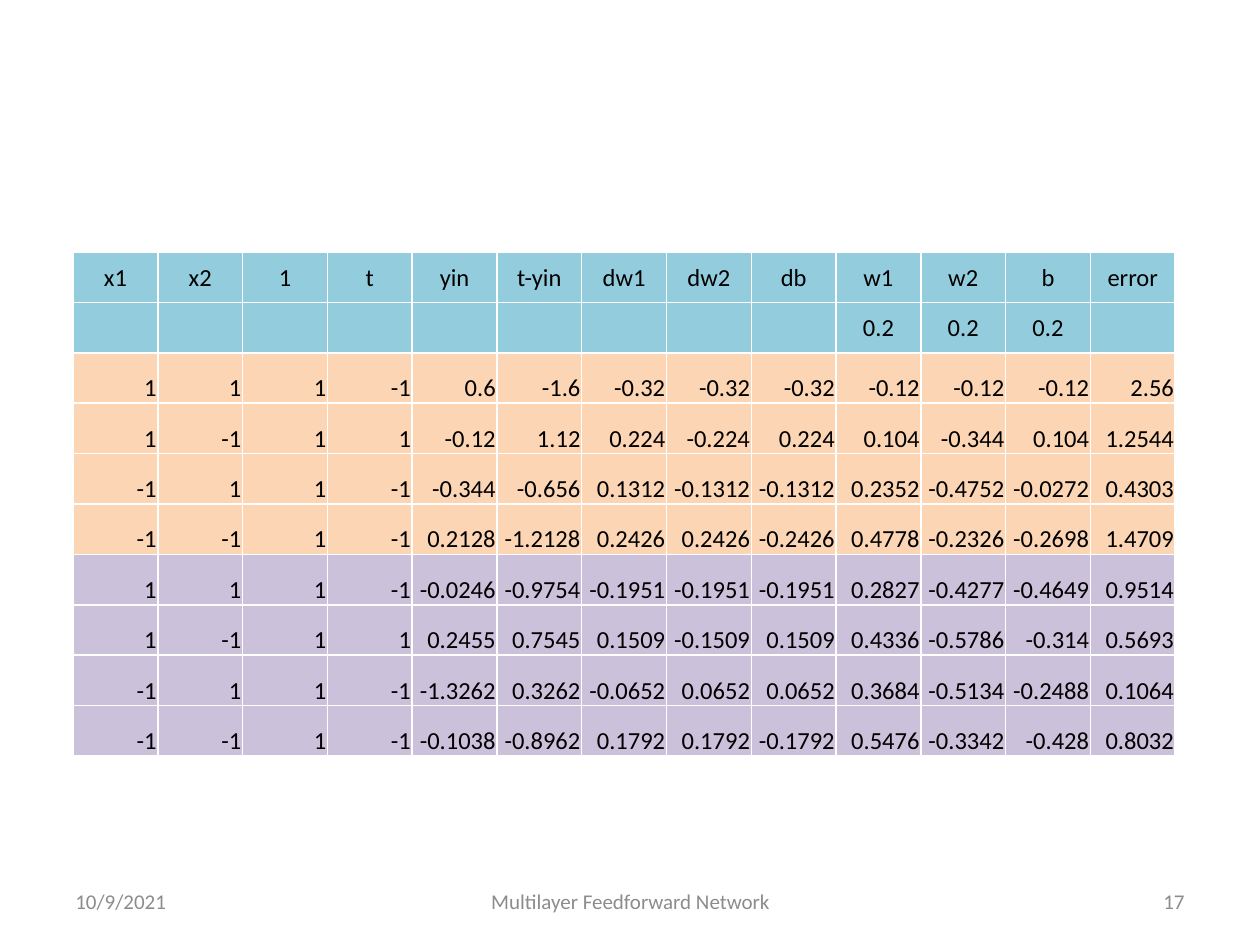
from typing import NamedTuple

from lxml.etree import SubElement
from pptx import Presentation
from pptx.dml.color import RGBColor
from pptx.enum.text import MSO_ANCHOR as Anchor, PP_ALIGN as Align
from pptx.oxml.ns import qn
from pptx.util import Inches, Pt

FONT = "Calibri"
COLS = 13
TABLE_WIDTH = 8.75
ROW_HEIGHT = 0.4


class Band(NamedTuple):
    fill: str
    align: Align
    anchor: Anchor
    rows: list[list[str]]


class Footer(NamedTuple):
    left: float
    width: float
    align: Align
    text: str


BANDS = [
    Band("93CDDD", Align.CENTER, Anchor.MIDDLE, [
        "x1 x2 1 t yin t-yin dw1 dw2 db w1 w2 b error".split(),
        [""] * 9 + ["0.2"] * 3 + [""],
    ]),
    Band("FCD5B5", Align.RIGHT, Anchor.BOTTOM, [
        "1 1 1 -1 0.6 -1.6 -0.32 -0.32 -0.32 -0.12 -0.12 -0.12 2.56".split(),
        "1 -1 1 1 -0.12 1.12 0.224 -0.224 0.224 0.104 -0.344 0.104 1.2544".split(),
        "-1 1 1 -1 -0.344 -0.656 0.1312 -0.1312 -0.1312 0.2352 -0.4752 -0.0272 0.4303".split(),
        "-1 -1 1 -1 0.2128 -1.2128 0.2426 0.2426 -0.2426 0.4778 -0.2326 -0.2698 1.4709".split(),
    ]),
    Band("CCC1DA", Align.RIGHT, Anchor.BOTTOM, [
        "1 1 1 -1 -0.0246 -0.9754 -0.1951 -0.1951 -0.1951 0.2827 -0.4277 -0.4649 0.9514".split(),
        "1 -1 1 1 0.2455 0.7545 0.1509 -0.1509 0.1509 0.4336 -0.5786 -0.314 0.5693".split(),
        "-1 1 1 -1 -1.3262 0.3262 -0.0652 0.0652 0.0652 0.3684 -0.5134 -0.2488 0.1064".split(),
        "-1 -1 1 -1 -0.1038 -0.8962 0.1792 0.1792 -0.1792 0.5476 -0.3342 -0.428 0.8032".split(),
    ]),
]

FOOTERS = [
    Footer(0.5, 2.33, Align.LEFT, "10/9/2021"),
    Footer(3.42, 3.17, Align.CENTER, "Multilayer Feedforward Network"),
    Footer(7.17, 2.33, Align.RIGHT, "17"),
]


def color(value: str) -> RGBColor:
    return RGBColor.from_string(value)


def style_paragraph(p, align: Align, size: float, text_color: str) -> None:
    p.alignment = align
    p.font.name = FONT
    p.font.size = Pt(size)
    p.font.color.rgb = color(text_color)


def add_borders(cell, line_color: str, width: float) -> None:
    tc_pr = cell._tc.get_or_add_tcPr()
    for side in ("a:lnL", "a:lnR", "a:lnT", "a:lnB"):
        ln = SubElement(tc_pr, qn(side), w=str(Pt(width)))
        fill = SubElement(ln, qn("a:solidFill"))
        SubElement(fill, qn("a:srgbClr"), val=line_color)


def fill_cell(cell, text: str, band: Band) -> None:
    add_borders(cell, "FFFFFF", 1)
    cell.fill.solid()
    cell.fill.fore_color.rgb = color(band.fill)
    cell.margin_left = cell.margin_right = cell.margin_top = Inches(0.01)
    cell.margin_bottom = 0
    cell.vertical_anchor = band.anchor
    p = cell.text_frame.paragraphs[0]
    if text:
        p.text = text
    style_paragraph(p, band.align, 14, "000000")


def add_training_table(s, bands: list[Band]) -> None:
    rows = [(band, row) for band in bands for row in band.rows]
    table = s.shapes.add_table(
        len(rows), COLS, Inches(0.58), Inches(2),
        Inches(TABLE_WIDTH), Inches(ROW_HEIGHT * len(rows))).table
    table.first_row = table.horz_banding = False
    for column in table.columns:
        column.width = Inches(TABLE_WIDTH / COLS)
    for i, (band, row) in enumerate(rows):
        table.rows[i].height = Inches(ROW_HEIGHT)
        for j, text in enumerate(row):
            fill_cell(table.cell(i, j), text, band)


def add_footer(s, footer: Footer) -> None:
    sp = s.shapes.add_textbox(
        Inches(footer.left), Inches(6.95), Inches(footer.width), Inches(0.4))
    tf = sp.text_frame
    tf.word_wrap = True
    tf.vertical_anchor = Anchor.MIDDLE
    p = tf.paragraphs[0]
    p.text = footer.text
    style_paragraph(p, footer.align, 12, "8C8C8C")


def main() -> None:
    prs = Presentation()
    prs.slide_width = Inches(10)
    prs.slide_height = Inches(7.5)
    s = prs.slides.add_slide(prs.slide_layouts[6])
    for footer in FOOTERS:
        add_footer(s, footer)
    add_training_table(s, BANDS)
    prs.save("out.pptx")


if __name__ == "__main__":
    main()
